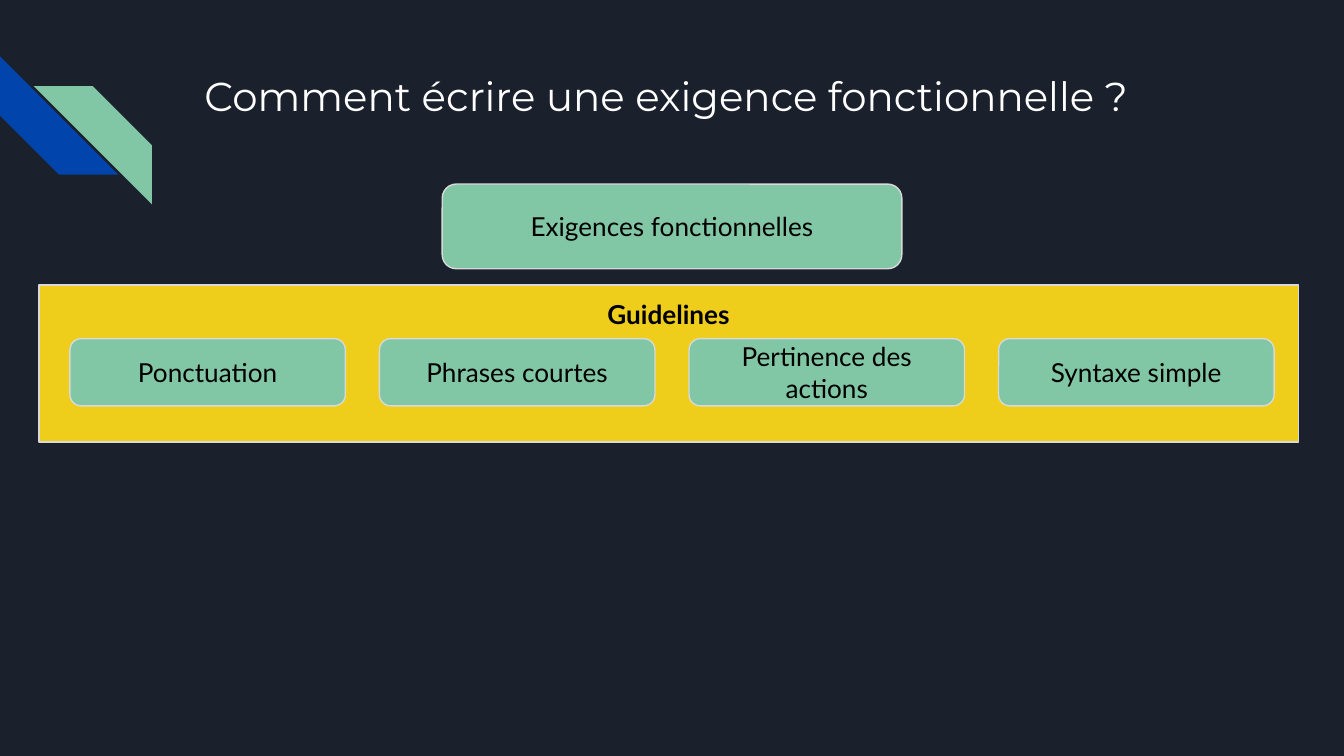
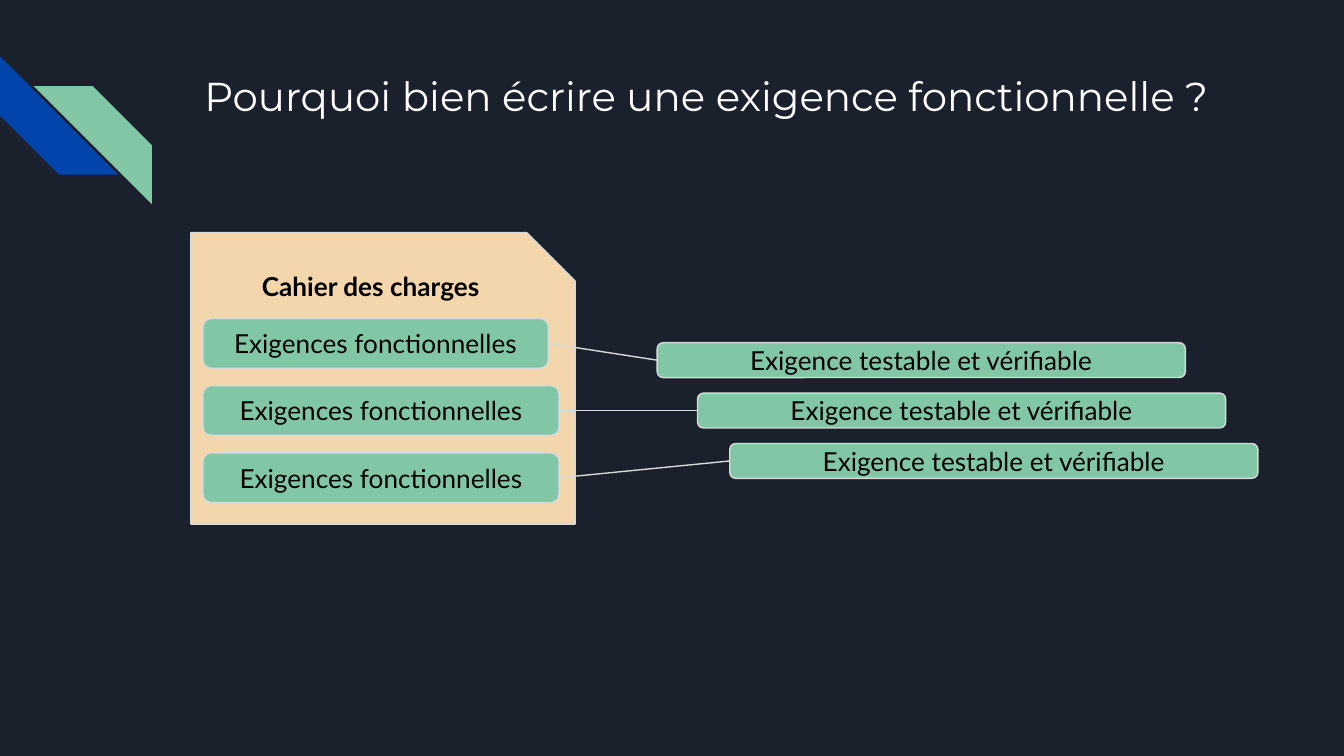
"""Build two slides on writing functional requirements."""
from lxml.etree import SubElement
from pptx import Presentation
from pptx.dml.color import RGBColor as RGB
from pptx.enum.shapes import MSO_CONNECTOR, MSO_SHAPE as SHAPE
from pptx.enum.text import MSO_ANCHOR as ANCHOR, MSO_AUTO_SIZE, PP_ALIGN as ALIGN
from pptx.oxml.ns import qn
from pptx.util import Inches, Pt

COLORS = {"night": "1B212C", "blue": "0145AC", "green": "82C7A5", "yellow": "EECE1A",
          "sand": "F4D6AD", "line": "D9D9D9", "black": "000000", "white": "FFFFFF"}
TITLES = ["Comment écrire une exigence fonctionnelle ?",
          "Pourquoi bien écrire une exigence fonctionnelle ?"]
STRIPES = [(0, 0.42, 270, "blue"), (0.25, 0.64, 90, "green")]
GUIDELINES = ["Ponctuation", "Phrases courtes", "Pertinence des actions", "Syntaxe simple"]


def set_text(s, text, font, size, color, align, anchor, bold=False):
    tf = s.text_frame
    tf.text = text
    tf.word_wrap = True
    tf.auto_size = MSO_AUTO_SIZE.NONE
    tf.vertical_anchor = anchor
    tf.margin_left = tf.margin_right = tf.margin_top = tf.margin_bottom = Inches(0.1)
    p = tf.paragraphs[0]
    p.alignment = align
    r = p.runs[0]
    r.font.name, r.font.size, r.font.bold = font, Pt(size), bold
    r.font.color.rgb = RGB.from_string(COLORS[color])


def add_box(sl, x, y, w, h, text, kind=SHAPE.ROUNDED_RECTANGLE, fill="green",
            anchor=ANCHOR.MIDDLE, bold=False):
    s = sl.shapes.add_shape(kind, Inches(x), Inches(y), Inches(w), Inches(h))
    s.shadow.inherit = False
    s.fill.solid()
    s.fill.fore_color.rgb = RGB.from_string(COLORS[fill])
    if not text:
        s.line.fill.background()
        return s
    s.line.color.rgb = RGB.from_string(COLORS["line"])
    s.line.width = Pt(0.75)
    set_text(s, text, "Lato", 14, "black", ALIGN.CENTER, anchor, bold)
    return s


prs = Presentation()
prs.slide_width, prs.slide_height = Inches(10), Inches(10 * 9 / 16)
bg = prs.slide_master.background.fill
bg.solid()
bg.fore_color.rgb = RGB.from_string(COLORS["night"])

slides = []
for title in TITLES:
    sl = prs.slides.add_slide(prs.slide_layouts[5])
    for x, y, angle, color in STRIPES:
        stripe = add_box(sl, x, y, 0.88, 0.88, "", SHAPE.DIAGONAL_STRIPE, color)
        stripe.rotation = angle
    s = sl.shapes.title
    s.left, s.top, s.width, s.height = Inches(1.42), Inches(0.43), Inches(7.7), Inches(1)
    set_text(s, title, "Montserrat", 21.6, "white", ALIGN.LEFT, ANCHOR.TOP)
    slides.append(sl)
how, why = slides

add_box(how, 0.29, 2.12, 9.37, 1.17, "Guidelines", SHAPE.RECTANGLE, "yellow",
        ANCHOR.TOP, True)
for i, guideline in enumerate(GUIDELINES):
    add_box(how, 0.52 + 6.91 / 3 * i, 2.52, 2.05, 0.5, guideline)
add_box(how, 3.29, 1.37, 3.42, 0.63, "Exigences fonctionnelles")

add_box(why, 1.42, 1.73, 2.86, 2.17, "Cahier des charges", SHAPE.SNIP_1_RECTANGLE, "sand",
        ANCHOR.TOP, True)
for i, (width, x) in enumerate([(2.57, 4.89), (2.65, 5.19), (2.65, 5.43)]):
    need = add_box(why, 1.51, 2.37 + 0.5 * i, width, 0.37, "Exigences fonctionnelles")
    test = add_box(why, x, 2.55 + 0.75 / 2 * i, 3.93, 0.26, "Exigence testable et vérifiable")
    link = why.shapes.add_connector(MSO_CONNECTOR.STRAIGHT, 0, 0, 0, 0)
    link.begin_connect(need, 3)
    link.end_connect(test, 1)
    link.line.color.rgb = RGB.from_string(COLORS["line"])
    link.line.width = Pt(0.75)
    SubElement(link._element.spPr, qn("a:effectLst"))

prs.save("out.pptx")
